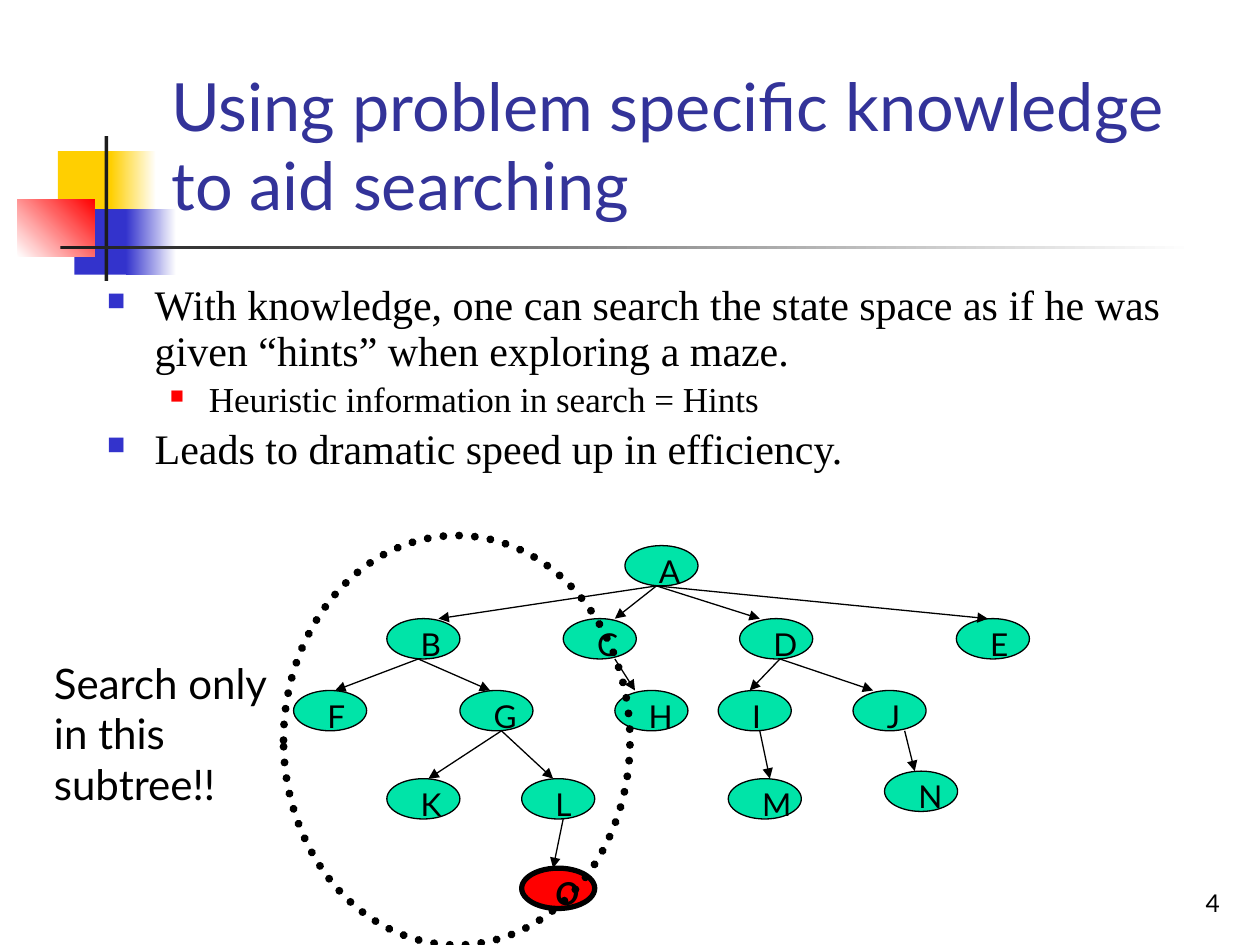
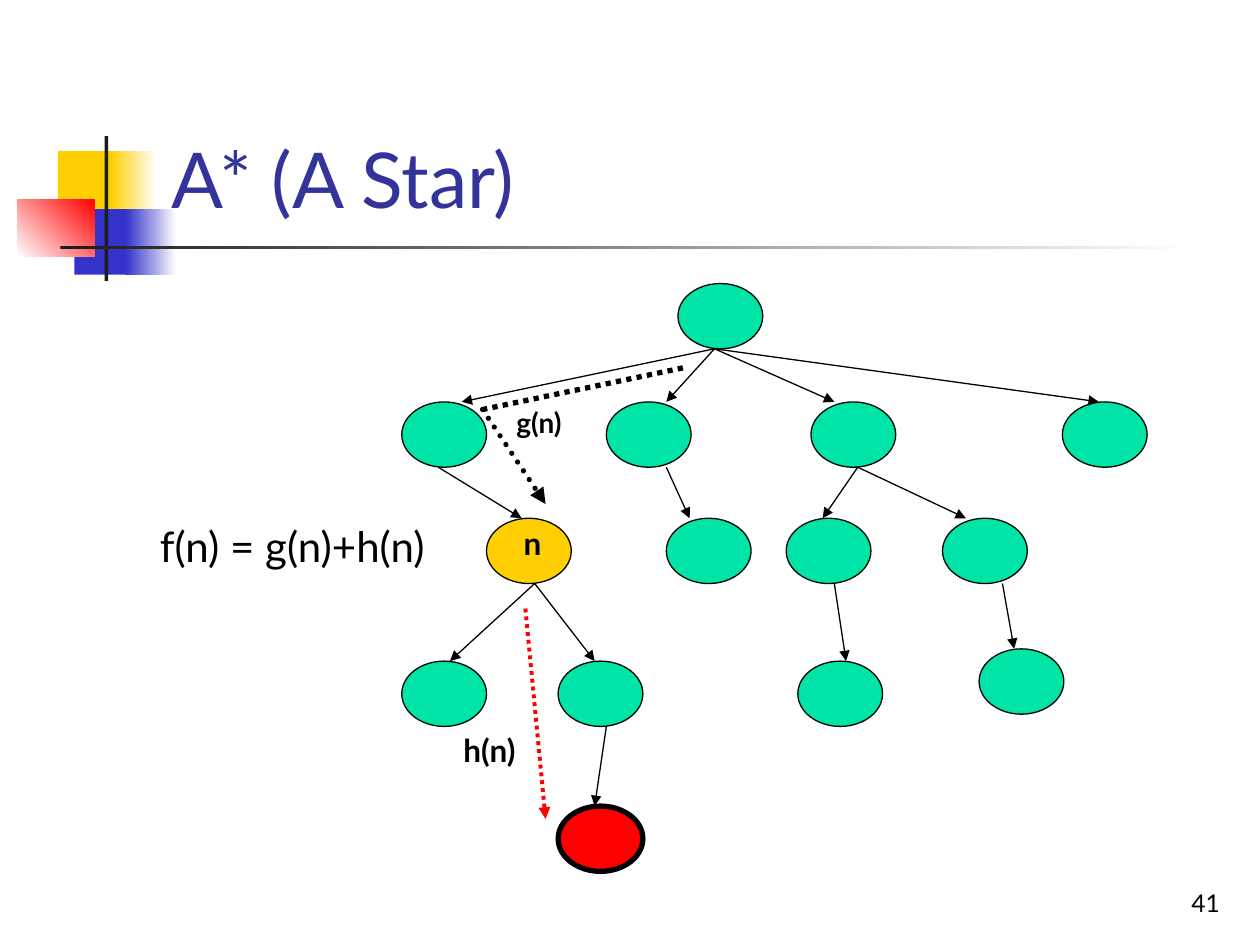
from dataclasses import dataclass
from typing import Any, Optional

import lxml.etree
import pptx
import pptx.dml.color
import pptx.enum.dml
import pptx.enum.shapes
import pptx.enum.text
import pptx.oxml.ns
import pptx.util

Inches = pptx.util.Inches
Pt = pptx.util.Pt
qn = pptx.oxml.ns.qn
SHAPES = pptx.enum.shapes.MSO_SHAPE
ALIGN = pptx.enum.text.PP_ALIGN
ANCHOR = pptx.enum.text.MSO_ANCHOR

SANS, SERIF = "Lato", "Times New Roman"
BLACK, WHITE, CHARCOAL = "000000", "FFFFFF", "1C1C1C"
GOLD, BLUE, RED = "FFCF01", "3333CC", "FF0000"
INDIGO, GREEN = "333399", "00E4A8"

NODE_WIDTH, NODE_HEIGHT = 0.58, 0.32
LABEL_INSET, LABEL_HEIGHT = 0.17, 0.4


@dataclass(frozen=True)
class Band:
    left: float
    top: float
    width: float
    height: float
    start: str
    end: Optional[str] = None
    angle: int = 0


@dataclass(frozen=True)
class Node:
    name: str
    x: float
    y: float
    parent: str = ""
    leave: float = 0
    arrive: float = 0


@dataclass(frozen=True)
class Frame:
    left: float
    top: float
    stretch_x: float
    stretch_y: float

    def x(self, value: float) -> float:
        return self.left + value * self.stretch_x

    def y(self, value: float) -> float:
        return self.top + value * self.stretch_y


@dataclass(frozen=True)
class Stroke:
    color: str = BLACK
    width: float = 0.75
    dotted: bool = False
    round_cap: bool = False
    arrow: bool = True


@dataclass(frozen=True)
class Bullet:
    text: str
    size: int
    color: str
    scale: int
    margin: float
    hanging: float


BANDS = [
    Band(0.46, 1.2, 0.48, 0.52, GOLD),
    Band(0.88, 1.2, 0.36, 0.52, GOLD, WHITE),
    Band(0.59, 1.66, 0.46, 0.52, BLUE),
    Band(1, 1.66, 0.4, 0.52, BLUE, WHITE),
    Band(0.14, 1.58, 0.61, 0.46, WHITE, RED, 45),
    Band(0.83, 1.08, 0.03, 1.15, CHARCOAL),
    Band(0.48, 1.95, 9, 0.03, CHARCOAL, WHITE),
]

TREE = [
    Node("A", 2.63, 0),
    Node("B", 0.74, 0.58, "A", 0.25, 0.41),
    Node("C", 2.14, 0.58, "A", 0.25, 0.41),
    Node("D", 3.54, 0.58, "A", 0.25, 0.16),
    Node("E", 5.26, 0.58, "A", 0.25, 0.25),
    Node("F", 0, 1.15, "B", 0.25, 0.33),
    Node("G", 1.32, 1.15, "B", 0.25, 0.24),
    Node("H", 2.55, 1.15, "C", 0.41, 0.16),
    Node("I", 3.37, 1.15, "D", 0.32, 0.25),
    Node("J", 4.44, 1.15, "D", 0.32, 0.16),
    Node("K", 0.74, 1.85, "G", 0.33, 0.33),
    Node("L", 1.81, 1.85, "G", 0.33, 0.25),
    Node("M", 3.45, 1.85, "I", 0.33, 0.33),
    Node("N", 4.69, 1.79, "J", 0.41, 0.24),
    Node("O", 1.81, 2.56, "L", 0.33, 0.25),
]
GOAL = "O"

BULLETS = [
    Bullet("With knowledge, one can search the state space as if he was given “hints” when exploring a maze.",
           24, BLUE, 60, 0.38, 0.38),
    Bullet("Heuristic information in search = Hints", 20, RED, 55, 0.81, 0.31),
    Bullet("Leads to dramatic speed up in efficiency.", 24, BLUE, 60, 0.38, 0.38),
]


def rgb(color: str) -> pptx.dml.color.RGBColor:
    return pptx.dml.color.RGBColor.from_string(color)


def style_font(font: Any, size: float, color: str = BLACK, name: str = SANS,
               bold: bool = False, italic: bool = False) -> None:
    font.name, font.size = name, Pt(size)
    font.bold, font.italic = bold, italic
    font.color.rgb = rgb(color)


def style_line(shape: Any, stroke: Stroke) -> None:
    shape.line.color.rgb = rgb(stroke.color)
    shape.line.width = Pt(stroke.width)
    if stroke.dotted:
        shape.line.dash_style = pptx.enum.dml.MSO_LINE.ROUND_DOT
    if stroke.round_cap:
        shape.element.spPr.find(qn("a:ln")).set("cap", "rnd")


def add_text(slide: Any, text: str, left: float, top: float, width: float, height: float,
             size: float, bold: bool = False, italic: bool = False) -> Any:
    box = slide.shapes.add_textbox(Inches(left), Inches(top), Inches(width), Inches(height))
    box.text_frame.word_wrap = True
    paragraph = box.text_frame.paragraphs[0]
    paragraph.text = text
    style_font(paragraph.font, size, bold=bold, italic=italic)
    return box


def add_ellipse(slide: Any, left: float, top: float, width: float, height: float,
                stroke: Stroke, color: Optional[str] = None) -> None:
    ellipse = slide.shapes.add_shape(SHAPES.OVAL, Inches(left), Inches(top), Inches(width), Inches(height))
    ellipse.shadow.inherit = False
    if color:
        ellipse.fill.solid()
        ellipse.fill.fore_color.rgb = rgb(color)
    else:
        ellipse.fill.background()
    style_line(ellipse, stroke)


def add_line(slide: Any, start: tuple[float, float], end: tuple[float, float],
             stroke: Stroke = Stroke()) -> None:
    line = slide.shapes.add_connector(
        pptx.enum.shapes.MSO_CONNECTOR.STRAIGHT, *(Inches(value) for value in start + end))
    style_line(line, stroke)
    properties = line.element.spPr
    if stroke.arrow:
        lxml.etree.SubElement(properties.find(qn("a:ln")), qn("a:tailEnd"), type="triangle")
    lxml.etree.SubElement(properties, qn("a:effectLst"))


def add_band(slide: Any, band: Band) -> None:
    shape = slide.shapes.add_shape(SHAPES.RECTANGLE, Inches(band.left), Inches(band.top),
                                   Inches(band.width), Inches(band.height))
    shape.shadow.inherit = False
    shape.line.fill.background()
    if band.end is None:
        shape.fill.solid()
        shape.fill.fore_color.rgb = rgb(band.start)
        return
    shape.fill.gradient()
    shape.fill.gradient_angle = band.angle
    for stop, color in zip(shape.fill.gradient_stops, (band.start, band.end)):
        stop.color.rgb = rgb(color)


def add_titled_slide(deck: Any, heading: str, size: float, number: int) -> Any:
    slide = deck.slides.add_slide(deck.slide_layouts[5])
    for band in BANDS:
        add_band(slide, band)
    page = add_text(slide, str(number), 7.7, 6.83, 2.08, 0.5, 14)
    page.text_frame.vertical_anchor = ANCHOR.BOTTOM
    page.text_frame.paragraphs[0].alignment = ALIGN.RIGHT

    title = slide.shapes.title
    title.left, title.top = Inches(1.26), Inches(0.23)
    title.width, title.height = Inches(8.52), Inches(1.6)
    title.text_frame.text = heading
    title.text_frame.vertical_anchor = ANCHOR.BOTTOM
    title.text_frame.auto_size = pptx.enum.text.MSO_AUTO_SIZE.NONE
    paragraph = title.text_frame.paragraphs[0]
    paragraph.alignment = ALIGN.LEFT
    style_font(paragraph.font, size, INDIGO)
    slide.shapes.element.append(title.element)
    return slide


def add_bullets(slide: Any) -> None:
    body = slide.shapes.add_textbox(Inches(0.75), Inches(2.21), Inches(9.04), Inches(1.71))
    frame = body.text_frame
    frame.word_wrap = True
    for index, bullet in enumerate(BULLETS):
        paragraph = frame.add_paragraph() if index else frame.paragraphs[0]
        paragraph.text = bullet.text
        properties = paragraph._p.get_or_add_pPr()
        properties.set("marL", str(Inches(bullet.margin)))
        properties.set("indent", str(-Inches(bullet.hanging)))
        tint = lxml.etree.SubElement(properties, qn("a:buClr"))
        lxml.etree.SubElement(tint, qn("a:srgbClr"), val=bullet.color)
        lxml.etree.SubElement(properties, qn("a:buSzPct"), val=str(bullet.scale * 1000))
        lxml.etree.SubElement(properties, qn("a:buChar"), char="■")
        paragraph.line_spacing = 0.9
        if index:
            paragraph.space_before = Pt(bullet.size * 0.2)
        style_font(paragraph.font, bullet.size, name=SERIF)


def draw_tree(slide: Any, nodes: list[Node], frame: Frame, labels: dict[str, str],
              colors: dict[str, str], bold: str) -> None:
    by_name = {node.name: node for node in nodes}
    for node in nodes:
        left, top = frame.x(node.x), frame.y(node.y)
        add_ellipse(slide, left, top, NODE_WIDTH * frame.stretch_x, NODE_HEIGHT * frame.stretch_y,
                    Stroke(width=3 if node.name == GOAL else 0.75), colors.get(node.name, GREEN))
        if node.name in labels:
            add_text(slide, labels[node.name], left + LABEL_INSET * frame.stretch_x, top,
                     (NODE_WIDTH - LABEL_INSET) * frame.stretch_x, LABEL_HEIGHT, 18,
                     bold=node.name == bold, italic=node.name == bold == GOAL)
    for node in nodes:
        if node.parent:
            parent = by_name[node.parent]
            add_line(slide,
                     (frame.x(parent.x + node.leave), frame.y(parent.y + NODE_HEIGHT)),
                     (frame.x(node.x + node.arrive), frame.y(node.y)))


def build_knowledge_slide(deck: Any) -> None:
    slide = add_titled_slide(deck, "Using problem specific knowledge to aid searching", 38, 4)
    add_bullets(slide)
    draw_tree(slide, TREE, Frame(2.33, 4.33, 1, 1), {node.name: node.name for node in TREE},
              {GOAL: RED}, GOAL)
    add_ellipse(slide, 2.25, 4.25, 2.75, 3.25, Stroke(width=4.5, dotted=True, round_cap=True))
    add_text(slide, "Search only in this subtree!!", 0.33, 5.17, 2, 1.3, 24)


def build_a_star_slide(deck: Any) -> None:
    slide = add_titled_slide(deck, "A* (A Star)", 44, 41)
    nodes = [node for node in TREE if node.name != "F"]
    draw_tree(slide, nodes, Frame(2.33, 2.25, 1.16, 1.62), {"G": "n"}, {"G": GOLD, GOAL: RED}, "G")
    turn = (3.83, 3.25)
    add_line(slide, (5.42, 2.92), turn, Stroke(width=3, dotted=True, arrow=False))
    add_line(slide, turn, (4.33, 4), Stroke(width=3, dotted=True, round_cap=True))
    add_line(slide, (4.17, 4.83), (4.33, 6.5), Stroke(RED, 2.25, dotted=True))
    add_text(slide, "g(n)", 4, 3.17, 1, 0.37, 16, bold=True)
    add_text(slide, "h(n)", 3.58, 5.75, 1, 0.4, 18, bold=True)
    add_text(slide, "f(n) = g(n)+h(n)", 1.17, 4.08, 2.92, 0.5, 24)


def main() -> None:
    deck = pptx.Presentation()
    deck.slide_width, deck.slide_height = Inches(10), Inches(7.5)
    build_knowledge_slide(deck)
    build_a_star_slide(deck)
    deck.save("out.pptx")


if __name__ == "__main__":
    main()
